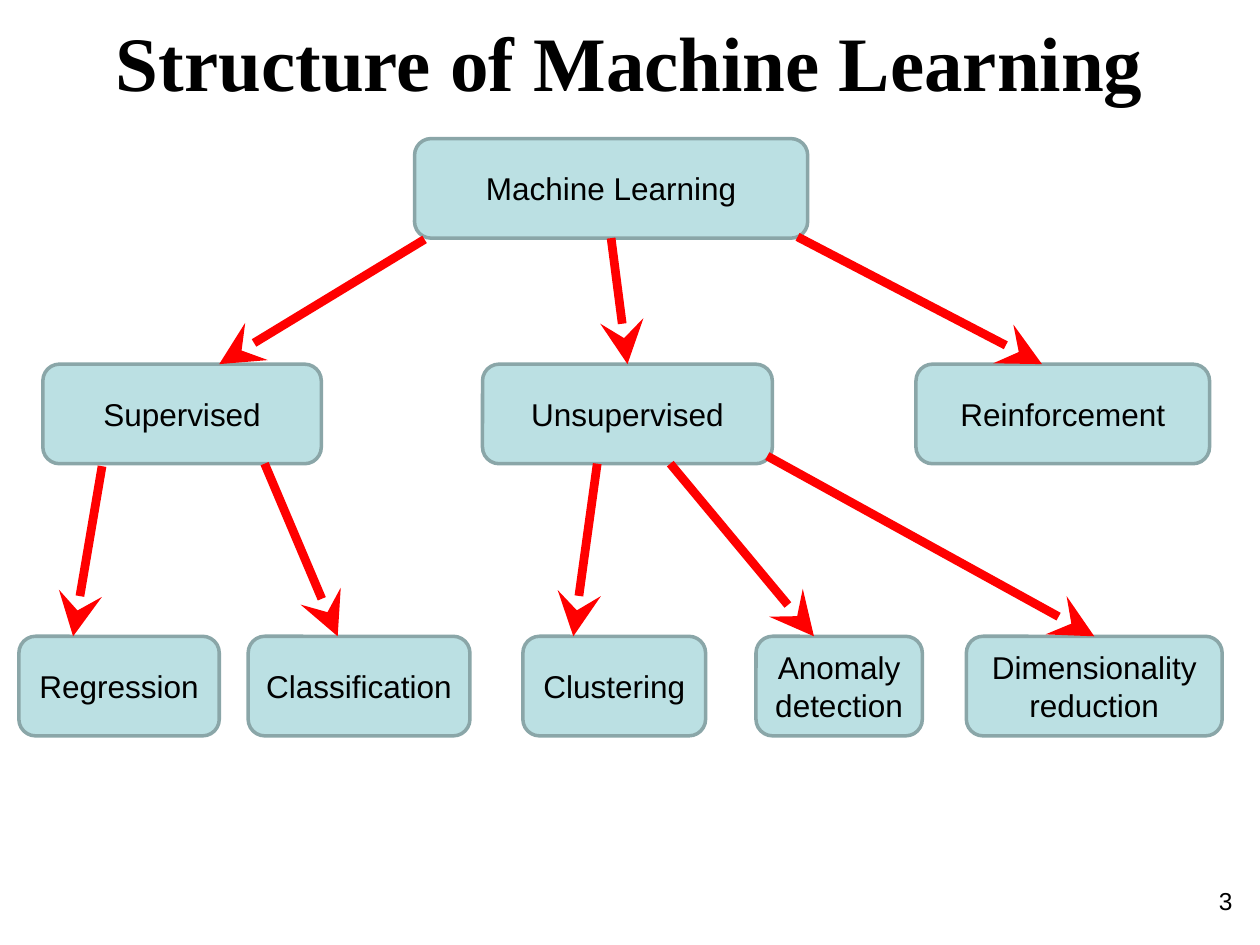
from lxml import etree
from pptx import Presentation
from pptx.dml.color import RGBColor
from pptx.enum.shapes import MSO_CONNECTOR, MSO_SHAPE
from pptx.enum.text import MSO_ANCHOR, PP_ALIGN
from pptx.oxml.ns import qn
from pptx.util import Inches, Pt

ROUNDED = MSO_SHAPE.ROUNDED_RECTANGLE
STRAIGHT = MSO_CONNECTOR.STRAIGHT
TOP, MIDDLE = MSO_ANCHOR.TOP, MSO_ANCHOR.MIDDLE
CENTER, RIGHT = PP_ALIGN.CENTER, PP_ALIGN.RIGHT
TOP_SITE, BOTTOM_SITE = 0, 2

COLORS = {"text": "000000", "box": "BBE0E3", "border": "8AA6A8", "arrow": "FF0000"}
BOX_HEIGHT = 0.79
ROOT_Y, BRANCH_Y, LEAF_Y = 1.1, 2.89, 5.05

presentation = Presentation()
presentation.slide_width = Inches(10)
presentation.slide_height = Inches(7.5)
slide = presentation.slides.add_slide(presentation.slide_layouts[6])


def write(shape, text, align, anchor, font_format):
    frame = shape.text_frame
    frame.word_wrap = True
    frame.vertical_anchor = anchor
    paragraph = frame.paragraphs[0]
    paragraph.alignment = align
    run = paragraph.add_run()
    run.text = text
    for attribute, value in font_format.items():
        setattr(run.font, attribute, value)
    run.font.color.rgb = RGBColor.from_string(COLORS["text"])


# Title and page number
captions = [
    ("Structure of Machine Learning", (0, 0.07, 10, 0.84), CENTER,
     {"name": "Times New Roman", "size": Pt(44), "bold": True}),
    ("3", (7.55, 6.98, 2.33, 0.52), RIGHT, {"name": "Arial", "size": Pt(14)}),
]
for text, place, align, font_format in captions:
    caption = slide.shapes.add_textbox(*map(Inches, place))
    write(caption, text, align, TOP, font_format)

# Topic boxes: one row per level, each topic with its left edge and width
levels = {
    ROOT_Y: [("Machine Learning", 3.29, 3.12)],
    BRANCH_Y: [
        ("Supervised", 0.34, 2.21),
        ("Unsupervised", 3.83, 2.3),
        ("Reinforcement", 7.27, 2.33),
    ],
    LEAF_Y: [
        ("Regression", 0.15, 1.59),
        ("Classification", 1.97, 1.76),
        ("Clustering", 4.15, 1.45),
        ("Anomaly detection", 6, 1.32),
        ("Dimensionality reduction", 7.67, 2.03),
    ],
}
topics = {}
for top, row in levels.items():
    for name, left, width in row:
        topic = slide.shapes.add_shape(
            ROUNDED, Inches(left), Inches(top), Inches(width), Inches(BOX_HEIGHT))
        topic.shadow.inherit = False
        topic.fill.solid()
        topic.fill.fore_color.rgb = RGBColor.from_string(COLORS["box"])
        topic.line.color.rgb = RGBColor.from_string(COLORS["border"])
        topic.line.width = Pt(2)
        write(topic, name, CENTER, MIDDLE, {"name": "Arial", "size": Pt(18)})
        topics[name] = topic

# Arrows: start point, x where the arrow meets the top of the lower row,
# and the topics joined at the middle of a side
arrows = [
    (3.37, 1.9, 1.74, BRANCH_Y, None, None),
    (6.33, 1.88, 8.27, BRANCH_Y, None, None),
    (4.87, 1.91, 4.98, BRANCH_Y, "Machine Learning", "Unsupervised"),
    (0.81, 3.7, 0.58, LEAF_Y, None, None),
    (2.1, 3.68, 2.68, LEAF_Y, None, None),
    (4.74, 3.68, 4.55, LEAF_Y, None, None),
    (5.32, 3.68, 6.46, LEAF_Y, None, None),
    (6.09, 3.62, 8.69, LEAF_Y, None, "Dimensionality reduction"),
]
for start_x, start_y, end_x, end_y, parent, child in arrows:
    arrow = slide.shapes.add_connector(
        STRAIGHT, Inches(start_x), Inches(start_y), Inches(end_x), Inches(end_y))
    if parent:
        arrow.begin_connect(topics[parent], BOTTOM_SITE)
    if child:
        arrow.end_connect(topics[child], TOP_SITE)
    arrow.line.color.rgb = RGBColor.from_string(COLORS["arrow"])
    arrow.line.width = Pt(5)
    etree.SubElement(arrow.line._get_or_add_ln(), qn("a:tailEnd"),
                     type="stealth", w="lg", len="lg")
    etree.SubElement(arrow._element.spPr, qn("a:effectLst"))

presentation.save("out.pptx")
